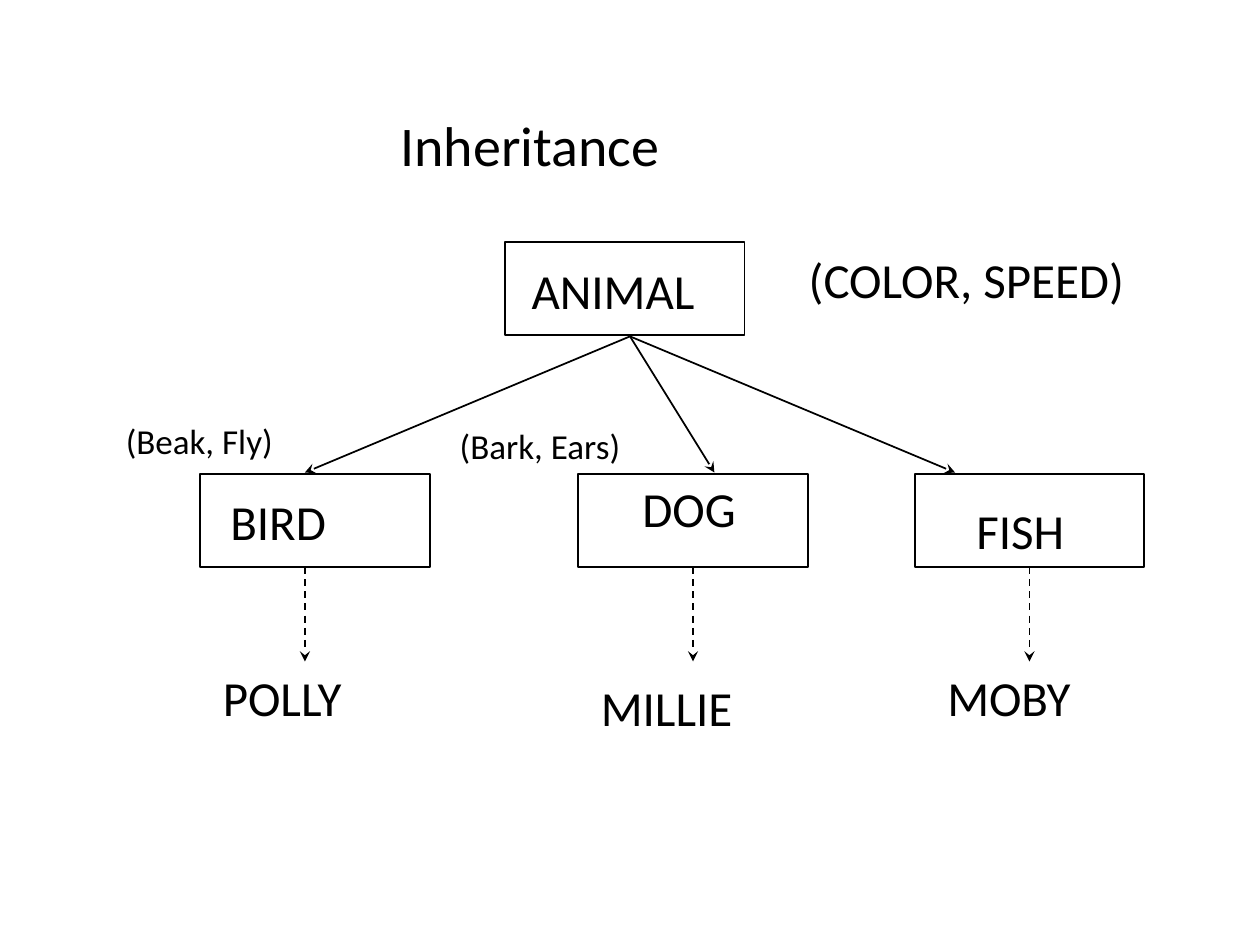
"""Build a slide showing an animal inheritance tree."""
from lxml.etree import SubElement
from pptx import Presentation
from pptx.dml.color import RGBColor
from pptx.enum.dml import MSO_LINE
from pptx.enum.shapes import MSO_CONNECTOR, MSO_SHAPE
from pptx.enum.text import MSO_AUTO_SIZE
from pptx.oxml.ns import qn
from pptx.util import Inches, Pt

BLACK = RGBColor(0, 0, 0)
WHITE = RGBColor(255, 255, 255)

presentation = Presentation()
presentation.slide_width = Inches(10)
presentation.slide_height = Inches(7.5)
slide = presentation.slides.add_slide(presentation.slide_layouts[6])


def add_arrow(start_x, start_y, end_x, end_y, dashed=False):
    connector = slide.shapes.add_connector(
        MSO_CONNECTOR.STRAIGHT,
        Inches(start_x), Inches(start_y), Inches(end_x), Inches(end_y),
    )
    connector.line.color.rgb = BLACK
    connector.line.width = Pt(1)
    if dashed:
        connector.line.dash_style = MSO_LINE.DASH
    properties = connector.element.spPr
    SubElement(properties.find(qn("a:ln")), qn("a:tailEnd"), type="stealth")
    SubElement(properties, qn("a:effectLst"))


def add_label(text, left, top, width, height, size):
    label = slide.shapes.add_textbox(
        Inches(left), Inches(top), Inches(width), Inches(height)
    )
    frame = label.text_frame
    frame.word_wrap = True
    frame.auto_size = MSO_AUTO_SIZE.SHAPE_TO_FIT_TEXT
    paragraph = frame.paragraphs[0]
    paragraph.text = text
    paragraph.font.name = "Calibri"
    paragraph.font.size = Pt(size)
    paragraph.font.color.rgb = BLACK


add_label("Inheritance", 3.08, 0.83, 3.21, 0.63, 32)

for left, top, width in [
    (4.01, 1.92, 1.9), (1.59, 3.76, 1.82), (4.59, 3.76, 1.82), (7.26, 3.76, 1.82)
]:
    box = slide.shapes.add_shape(
        MSO_SHAPE.RECTANGLE, Inches(left), Inches(top), Inches(width), Inches(0.74)
    )
    box.shadow.inherit = False
    box.fill.solid()
    box.fill.fore_color.rgb = WHITE
    box.line.color.rgb = BLACK
    box.line.width = Pt(1)

for class_x in (5.67, 2.42, 7.58):
    add_arrow(5, 2.67, class_x, 3.75)
for instance_x in (2.42, 5.5, 8.17):
    add_arrow(instance_x, 4.5, instance_x, 5.25, dashed=True)

for text, left, top, width in [
    ("ANIMAL", 4.12, 2.02, 1.65),
    ("BIRD", 1.73, 3.85, 1.13),
    ("DOG", 5, 3.75, 1.09),
    ("FISH", 7.65, 3.92, 1.09),
    ("POLLY", 1.67, 5.25, 1.83),
    ("MILLIE", 4.67, 5.33, 2.08),
    ("MOBY", 7.42, 5.25, 1.83),
    ("(COLOR, SPEED)", 6.32, 1.93, 3.38),
]:
    add_label(text, left, top, width, 0.57, 28)

add_label("(Beak, Fly)", 0.9, 3.28, 1.54, 0.43, 20)
add_label("(Bark, Ears)", 3.55, 3.32, 1.68, 0.43, 20)

presentation.save("out.pptx")
